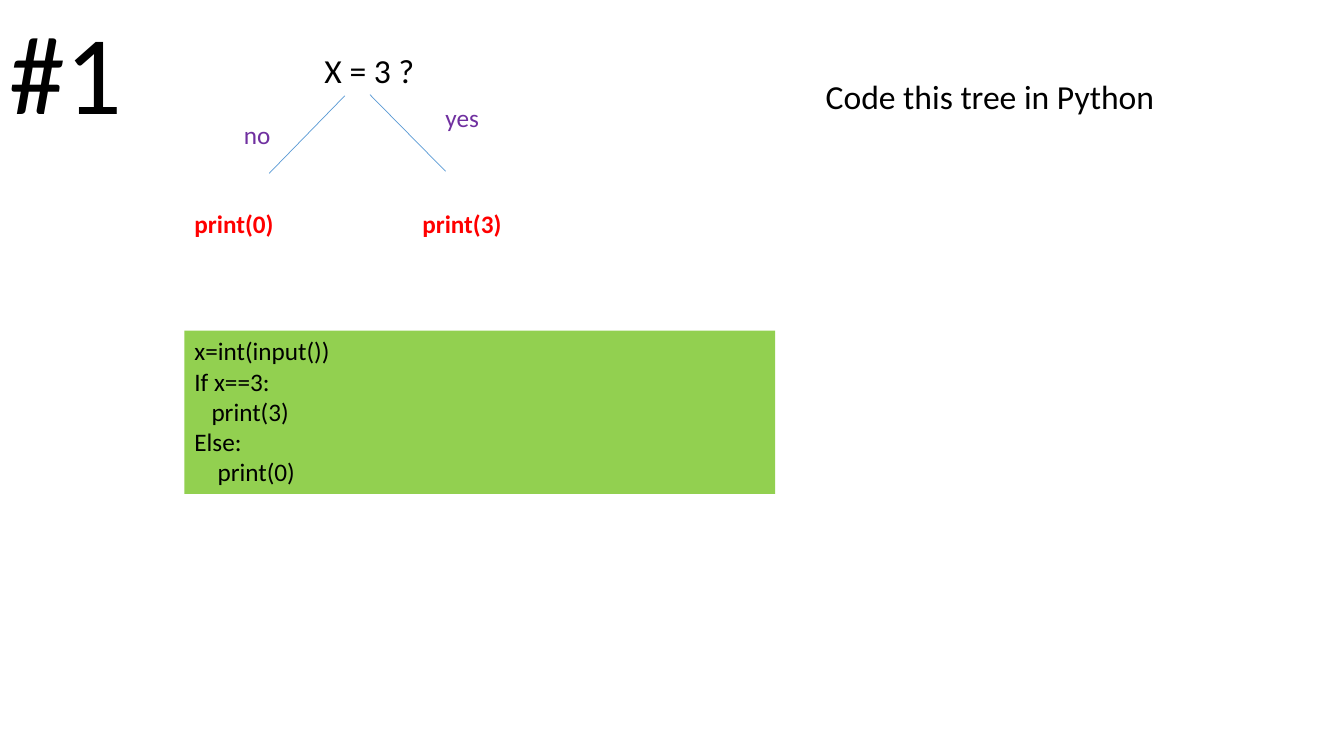
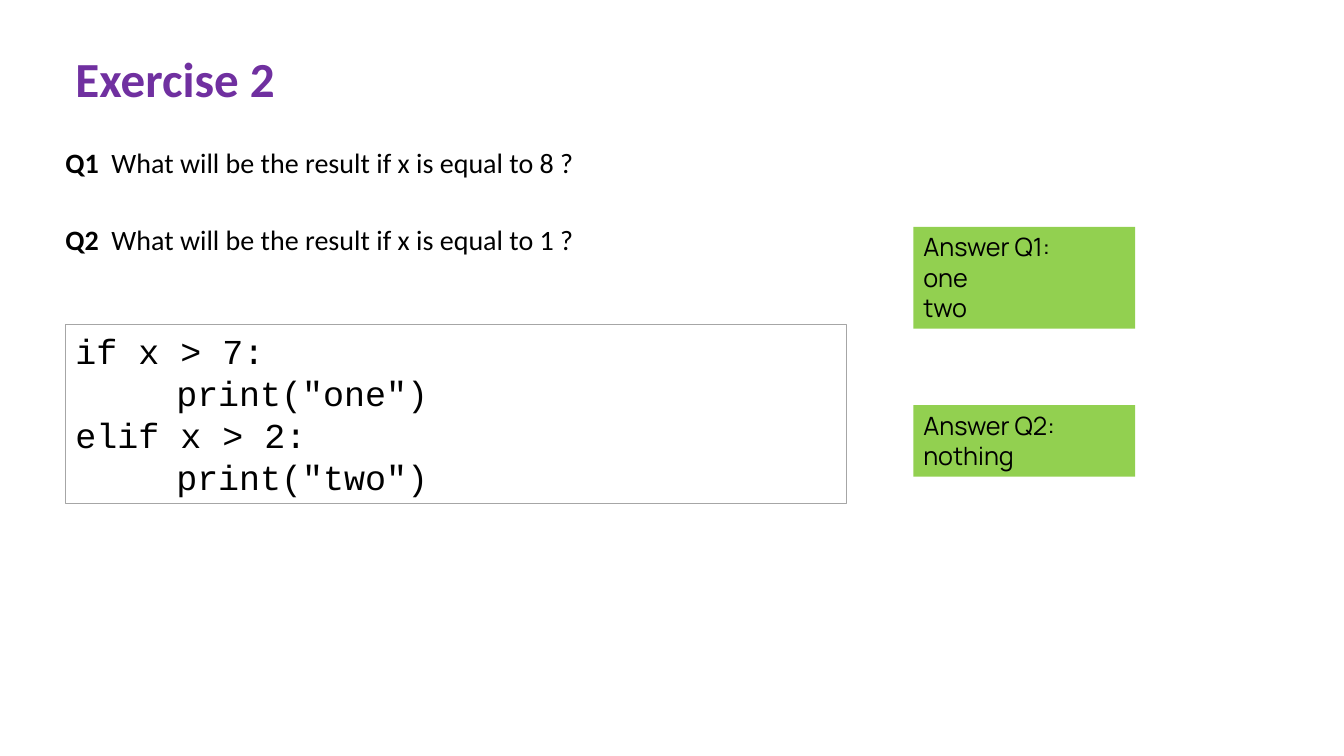
from pptx import Presentation
from pptx.dml.color import RGBColor
from pptx.enum.shapes import MSO_CONNECTOR
from pptx.enum.text import MSO_AUTO_SIZE
from pptx.oxml.ns import qn
from pptx.util import Pt
from lxml import etree

PX = 9144  # 100 px to the inch
BLACK, PURPLE, RED = "000000", "7030A0", "FF0000"
GREEN, BLUE, GREY = "92D050", "5B9BD5", "A6A6A6"


def rgb(color):
    return RGBColor.from_string(color)


def text(s, box, lines, size=18, color=BLACK, bold=False, font="Calibri",
         lead="", indents=(), fill=None, border=None, wrap=False):
    """Add a text box; lead is a bold start, indents are px per line."""
    sp = s.shapes.add_textbox(*(v * PX for v in box))
    if fill:
        sp.fill.solid()
        sp.fill.fore_color.rgb = rgb(fill)
    if border:
        sp.line.color.rgb = rgb(border)
        sp.line.width = Pt(0.75)
    tf = sp.text_frame
    tf.word_wrap = wrap
    tf.auto_size = MSO_AUTO_SIZE.SHAPE_TO_FIT_TEXT
    for i, line in enumerate(lines):
        p = tf.paragraphs[0] if i == 0 else tf.add_paragraph()
        if indents:
            p._p.get_or_add_pPr().set("marL", str(indents[i] * PX))
        for part, is_bold in ((lead, True), (line, bold)):
            if part:
                r = p.add_run()
                r.text = part
                r.font.name = font
                r.font.size = Pt(size)
                r.font.bold = is_bold
                r.font.color.rgb = rgb(color)


prs = Presentation()
prs.slide_width, prs.slide_height = 1333 * PX, 750 * PX
blank = prs.slide_layouts[6]

# Slide 1: decision tree and its code
s = prs.slides.add_slide(blank)
for branch in ((342, 95, 267, 172), (367, 94, 442, 170)):
    c = s.shapes.add_connector(MSO_CONNECTOR.STRAIGHT, *(v * PX for v in branch))
    c.line.color.rgb = rgb(BLUE)
    c.line.width = Pt(0.5)
    etree.SubElement(c._element.spPr, qn("a:effectLst"))

text(s, (432, 97, 54, 40), ["yes"], color=PURPLE)
text(s, (232, 113, 47, 40), ["no"], color=PURPLE)
text(s, (312, 45, 110, 50), ["X = 3 ?"], size=24)
text(s, (809, 70, 349, 50), ["Code this tree in Python"], size=24)
for x, leaf in ((183, "print(0)"), (409, "print(3)")):
    text(s, (x, 202, 99, 40), [leaf], color=RED, bold=True)
text(s, (0, -2, 133, 145), ["#1"], size=80)
text(s, (183, 328, 586, 162),
     ["x=int(input())", "If x==3:", "print(3)", "Else:", "print(0)"],
     indents=(0, 0, 17, 0, 23), fill=GREEN, wrap=True)

# Slide 2: questions, code and answers
s = prs.slides.add_slide(blank)
text(s, (65, 43, 220, 69), ["Exercise 2"], size=35, color=PURPLE, bold=True)
for i, value in enumerate((8, 1)):
    text(s, (55, 139 + 77 * i, 529, 44),
         [f" What will be the result if x is equal to {value} ?"],
         size=20, lead=f"Q{i + 1} ")
text(s, (65, 322, 775, 178),
     ["if x > 7:", 'print("one")', "elif x > 2:", 'print("two")'],
     size=25, font="Courier New", indents=(0, 100, 0, 100),
     border=GREY, wrap=True)
for y, h, lines in ((225, 101, ["Answer Q1:", "one", "two"]),
                    (402, 71, ["Answer Q2:", "nothing"])):
    text(s, (906, y, 220, h), lines, font="Manrope", fill=GREEN, wrap=True)

prs.save("out.pptx")
